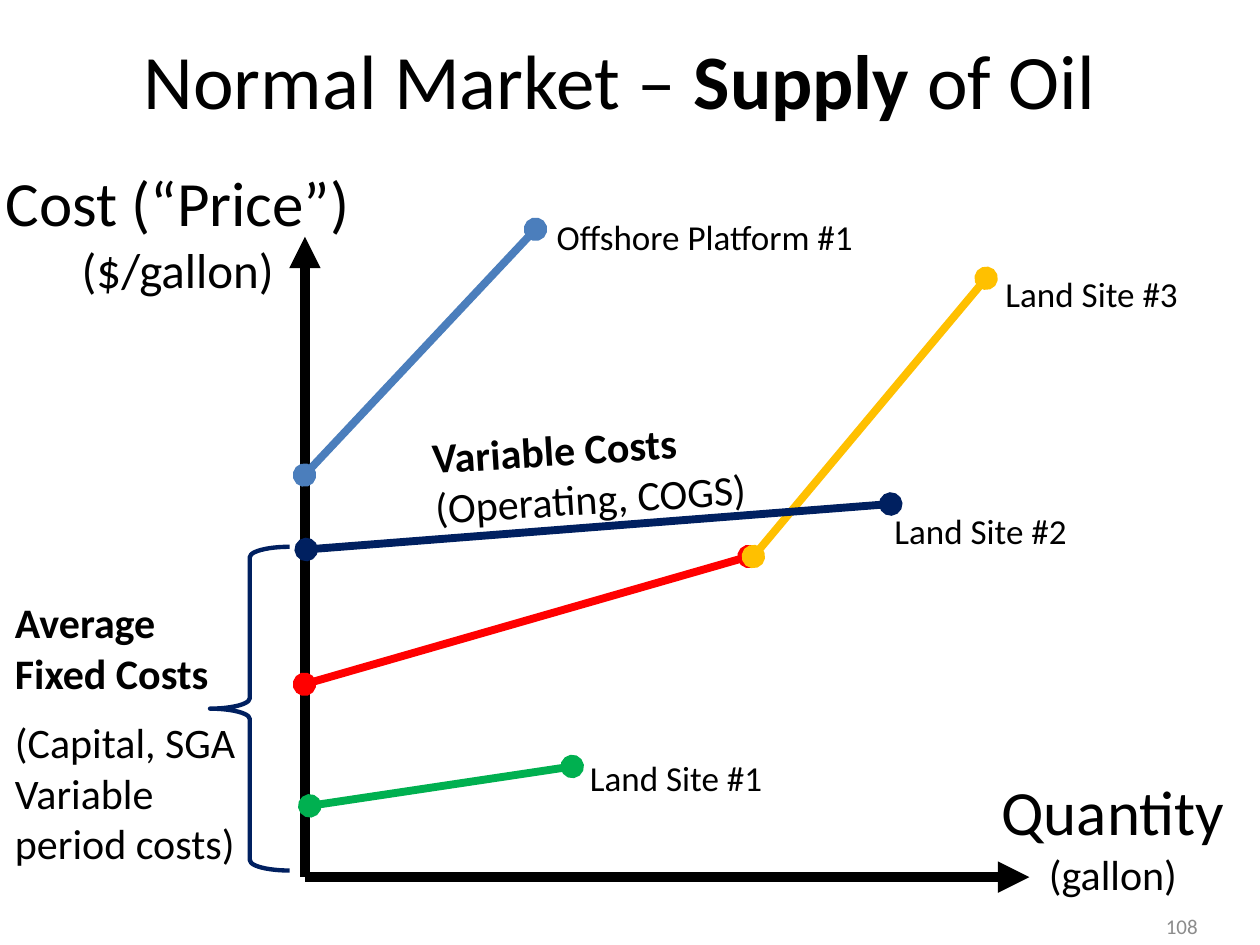
import pptx
import pptx.util
import pptx.dml.color
import pptx.enum.shapes
import pptx.enum.text
import pptx.oxml
import pptx.oxml.ns

Pt = pptx.util.Pt
RGB = pptx.dml.color.RGBColor
ALIGN = pptx.enum.text.PP_ALIGN
ANCHOR = pptx.enum.text.MSO_ANCHOR
SHAPE = pptx.enum.shapes.MSO_SHAPE
CONNECTOR = pptx.enum.shapes.MSO_CONNECTOR

BLACK = RGB(0, 0, 0)
GRAY = RGB(0x8C, 0x8C, 0x8C)
RED = RGB(0xFF, 0, 0)
GOLD = RGB(0xFF, 0xC0, 0)
GREEN = RGB(0, 0xB0, 0x50)
NAVY = RGB(0, 0x20, 0x60)
BLUE = RGB(0x4B, 0x7E, 0xBC)

ORIGIN = (174.25, 501.25)
AXIS_ENDS = [(588.25, 501.25), (174.25, 135.25)]
SUPPLY_LINES = [
    ((174, 391), (428, 318), RED),
    ((430.5, 318), (563.5, 159), GOLD),
    ((177, 460.5), (327, 438), GREEN),
    ((175, 314), (509, 288), NAVY),
    ((174, 271.5), (306, 131), BLUE),
]
SITE_LABELS = [
    ("Offshore Platform #1", 311, 119.5, 186.5),
    ("Land Site #3", 567.5, 152, 114),
    ("Land Site #1", 330, 428.5, 114),
    ("Land Site #2", 504, 287.5, 114),
]
TITLE = [[("Normal Market – ", 44, False), ("Supply", 44, True), (" of Oil", 44, False)]]
COST = [[("Cost (“Price”)", 36, False), "\n", ("($/gallon)", 28, False)]]
QUANTITY = [[("Quantity", 36, False)], [("(gallon)", 24, False)]]
FIXED = [
    [("Average", 24, True)],
    [("Fixed Costs", 24, True)],
    [("(Capital, SGA", 24, False)],
    [("Variable", 24, False)],
    [("period costs)", 24, False)],
]
VARIABLE = [[("Variable Costs", 24, True)], [("(Operating, COGS)", 24, False)]]


def add_text(s, box, paragraphs, align=ALIGN.LEFT, anchor=ANCHOR.TOP, wrap=False, color=BLACK):
    sp = s.shapes.add_textbox(*map(Pt, box))
    tf = sp.text_frame
    tf.word_wrap = wrap
    tf.vertical_anchor = anchor
    for i, runs in enumerate(paragraphs):
        p = tf.add_paragraph() if i else tf.paragraphs[0]
        p.alignment = align
        for run in runs:
            if run == "\n":
                p.add_line_break()
                continue
            r = p.add_run()
            r.text, size, r.font.bold = run
            r.font.size = Pt(size)
            r.font.name = "Calibri"
            r.font.color.rgb = color
    return sp


def add_line(s, start, end, color, width, head, tail):
    sp = s.shapes.add_connector(CONNECTOR.STRAIGHT, *map(Pt, start + end))
    sp.line.color.rgb = color
    sp.line.width = Pt(width)
    ns = pptx.oxml.ns.nsdecls("a")
    ln = sp.line._get_or_add_ln()
    for tag, kind in (("a:headEnd", head), ("a:tailEnd", tail)):
        if kind:
            ln.append(pptx.oxml.parse_xml(f'<{tag} {ns} type="{kind}"/>'))
    sp._element.spPr.append(pptx.oxml.parse_xml(f"<a:effectLst {ns}/>"))


def main():
    prs = pptx.Presentation()
    prs.slide_width, prs.slide_height = Pt(720), Pt(540)
    s = prs.slides.add_slide(prs.slide_layouts[6])

    add_text(s, (30, 0, 648, 90), TITLE, ALIGN.CENTER, ANCHOR.MIDDLE, True)
    add_text(s, (523.5, 515, 168, 28.75), [[("108", 12, False)]],
             ALIGN.RIGHT, ANCHOR.MIDDLE, True, GRAY)
    cost = add_text(s, (0, 90, 203, 84), COST, ALIGN.CENTER, wrap=True)
    cost.text_frame.margin_left = cost.text_frame.margin_right = 0
    add_text(s, (560, 438, 152, 80), QUANTITY, ALIGN.CENTER, wrap=True)

    for end in AXIS_ENDS:
        add_line(s, ORIGIN, end, BLACK, 6, None, "triangle")
    for start, end, color in SUPPLY_LINES:
        add_line(s, start, end, color, 4.5, "oval", "oval")

    brace = s.shapes.add_shape(SHAPE.LEFT_BRACE, Pt(120), Pt(312.5), Pt(45.5), Pt(185))
    brace.adjustments[0] = 0.13
    brace.fill.background()
    brace.line.color.rgb = NAVY
    brace.line.width = Pt(2.5)
    brace.shadow.inherit = False

    fixed = add_text(s, (1.5, 337.5, 141, 163.5), FIXED)
    fixed.text_frame.paragraphs[2].space_before = Pt(11)
    variable = add_text(s, (240.5, 237.5, 198, 65.5), VARIABLE)
    variable.rotation = 356.5
    for label, left, top, width in SITE_LABELS:
        add_text(s, (left, top, width, 31.5), [[(label, 20, False)]])

    prs.save("out.pptx")


if __name__ == "__main__":
    main()
